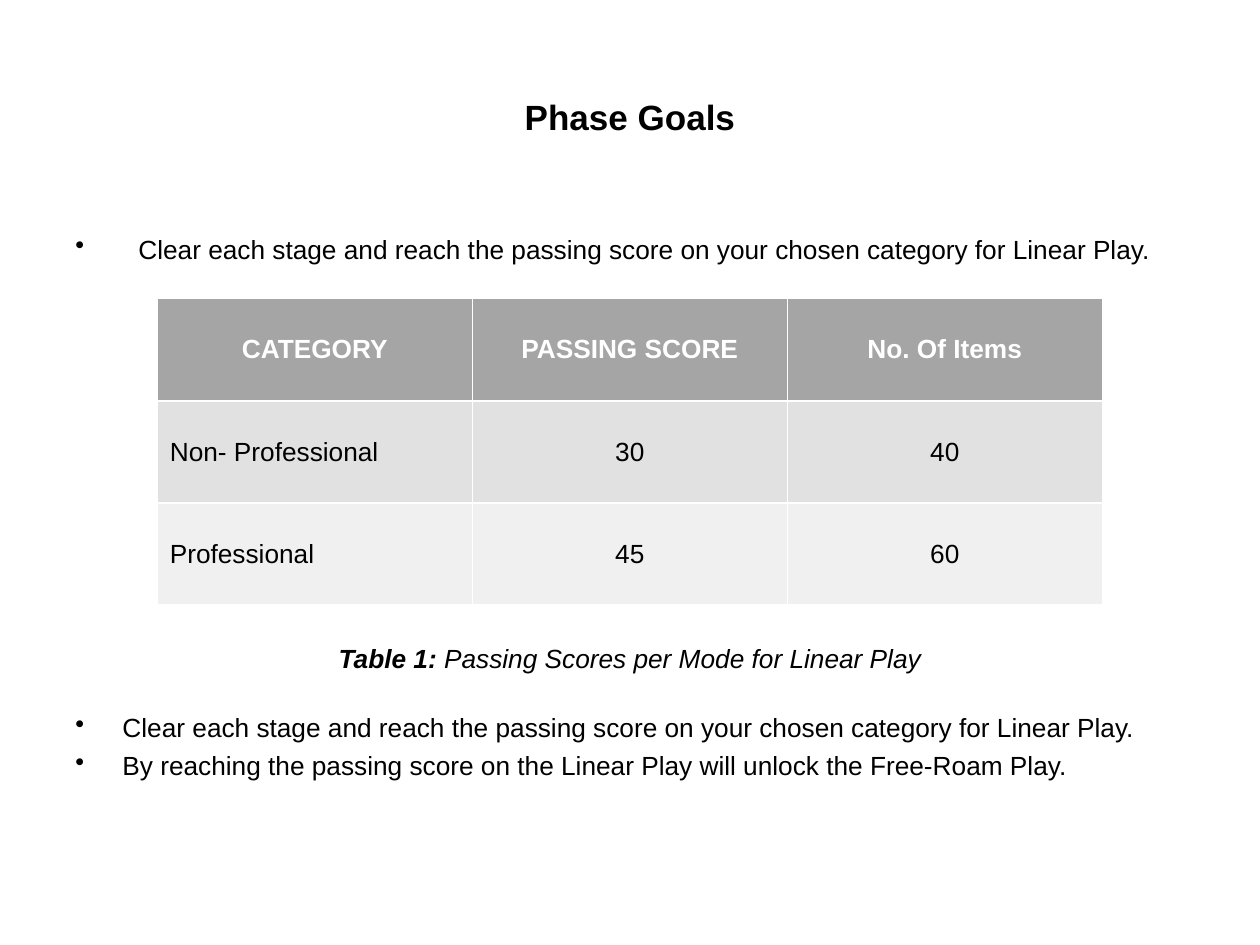
from dataclasses import dataclass

from lxml.etree import SubElement
from pptx import Presentation
from pptx.dml.color import RGBColor
from pptx.enum.text import MSO_ANCHOR as Anchor, PP_ALIGN as Align
from pptx.oxml.ns import qn
from pptx.slide import Slide
from pptx.table import _Cell as Cell
from pptx.text.text import TextFrame, _Paragraph as Paragraph
from pptx.util import Cm, Pt

BLACK = RGBColor(0x00, 0x00, 0x00)
WHITE = RGBColor(0xFF, 0xFF, 0xFF)
HEADER_GREY = RGBColor(0xA5, 0xA5, 0xA5)
DARK_BAND = RGBColor(0xE1, 0xE1, 0xE1)
LIGHT_BAND = RGBColor(0xF0, 0xF0, 0xF0)

MARGIN, TEXT_WIDTH = 1.27, 22.86
COLUMN_WIDTH, ROW_HEIGHT = 6.35, 2.06


@dataclass(frozen=True)
class GoalList:
    top: float
    height: float
    indent: float
    goals: tuple[str, ...]


@dataclass(frozen=True)
class ScoreRow:
    labels: tuple[str, str, str]
    fill: RGBColor
    color: RGBColor = BLACK
    header: bool = False


PASS_GOAL = "Clear each stage and reach the passing score on your chosen category for Linear Play."
UNLOCK_GOAL = "By reaching the passing score on the Linear Play will unlock the Free-Roam Play."

GOAL_LISTS = (
    GoalList(4.57, 0.9, 1.27, (PASS_GOAL,)),
    GoalList(14.22, 1.65, 0.95, (PASS_GOAL, UNLOCK_GOAL)),
)
SCORE_ROWS = (
    ScoreRow(("CATEGORY", "PASSING SCORE", "No. Of Items"), HEADER_GREY, WHITE, True),
    ScoreRow(("Non- Professional", "30", "40"), DARK_BAND),
    ScoreRow(("Professional", "45", "60"), LIGHT_BAND),
)


def style(paragraph: Paragraph, size: int = 15, color: RGBColor = BLACK) -> None:
    font = paragraph.font
    font.name, font.size = "Arial", Pt(size)
    font.color.rgb = color


def add_text_area(slide: Slide, top: float, height: float) -> TextFrame:
    area = slide.shapes.add_textbox(Cm(MARGIN), Cm(top), Cm(TEXT_WIDTH), Cm(height))
    area.text_frame.word_wrap = True
    return area.text_frame


def add_title(slide: Slide) -> None:
    frame = add_text_area(slide, 0.76, 3.18)
    frame.vertical_anchor = Anchor.MIDDLE
    title = frame.paragraphs[0]
    title.text, title.alignment = "Phase Goals", Align.CENTER
    style(title, 20)
    title.font.bold = True


def add_goals(slide: Slide, goal_list: GoalList) -> None:
    frame = add_text_area(slide, goal_list.top, goal_list.height)
    for index, text in enumerate(goal_list.goals):
        goal = frame.add_paragraph() if index else frame.paragraphs[0]
        goal.text = text
        if index:
            goal.space_before = Pt(3.5)
        style(goal)
        properties = goal._p.get_or_add_pPr()
        properties.set("marL", str(Cm(goal_list.indent)))
        properties.set("indent", str(-Cm(goal_list.indent)))
        bullet = properties.makeelement(qn("a:buChar"), {"char": "•"})
        properties.insert_element_before(bullet, "a:tabLst", "a:defRPr", "a:extLst")


def add_borders(cell: Cell) -> None:
    properties = cell._tc.get_or_add_tcPr()
    for side in ("lnL", "lnR", "lnT", "lnB"):
        line = SubElement(properties, qn(f"a:{side}"), w=str(Pt(1)))
        fill = SubElement(line, qn("a:solidFill"))
        SubElement(fill, qn("a:srgbClr"), val=str(WHITE))


def add_scores(slide: Slide) -> None:
    columns = len(SCORE_ROWS[0].labels)
    table = slide.shapes.add_table(
        len(SCORE_ROWS), columns, Cm(3.17), Cm(6.02),
        Cm(COLUMN_WIDTH * columns), Cm(ROW_HEIGHT * len(SCORE_ROWS)),
    ).table
    for column in table.columns:
        column.width = Cm(COLUMN_WIDTH)
    for row, scores in zip(table.rows, SCORE_ROWS):
        row.height = Cm(ROW_HEIGHT)
        for index, (cell, label) in enumerate(zip(row.cells, scores.labels)):
            add_borders(cell)
            cell.fill.solid()
            cell.fill.fore_color.rgb = scores.fill
            cell.vertical_anchor = Anchor.MIDDLE
            entry = cell.text_frame.paragraphs[0]
            entry.text = label
            entry.alignment = Align.CENTER if scores.header or index else Align.LEFT
            style(entry, color=scores.color)
            entry.font.bold = scores.header


def add_caption(slide: Slide) -> None:
    caption = add_text_area(slide, 12.83, 0.89).paragraphs[0]
    caption.alignment = Align.CENTER
    style(caption)
    caption.font.italic = True
    number = caption.add_run()
    number.text, number.font.bold = "Table 1:", True
    caption.add_run().text = " Passing Scores per Mode for Linear Play"


def main() -> None:
    deck = Presentation()
    deck.slide_width, deck.slide_height = Cm(25.4), Cm(19.05)
    slide = deck.slides.add_slide(deck.slide_layouts[6])
    add_title(slide)
    for goal_list in GOAL_LISTS:
        add_goals(slide, goal_list)
    add_scores(slide)
    add_caption(slide)
    deck.save("out.pptx")


if __name__ == "__main__":
    main()
